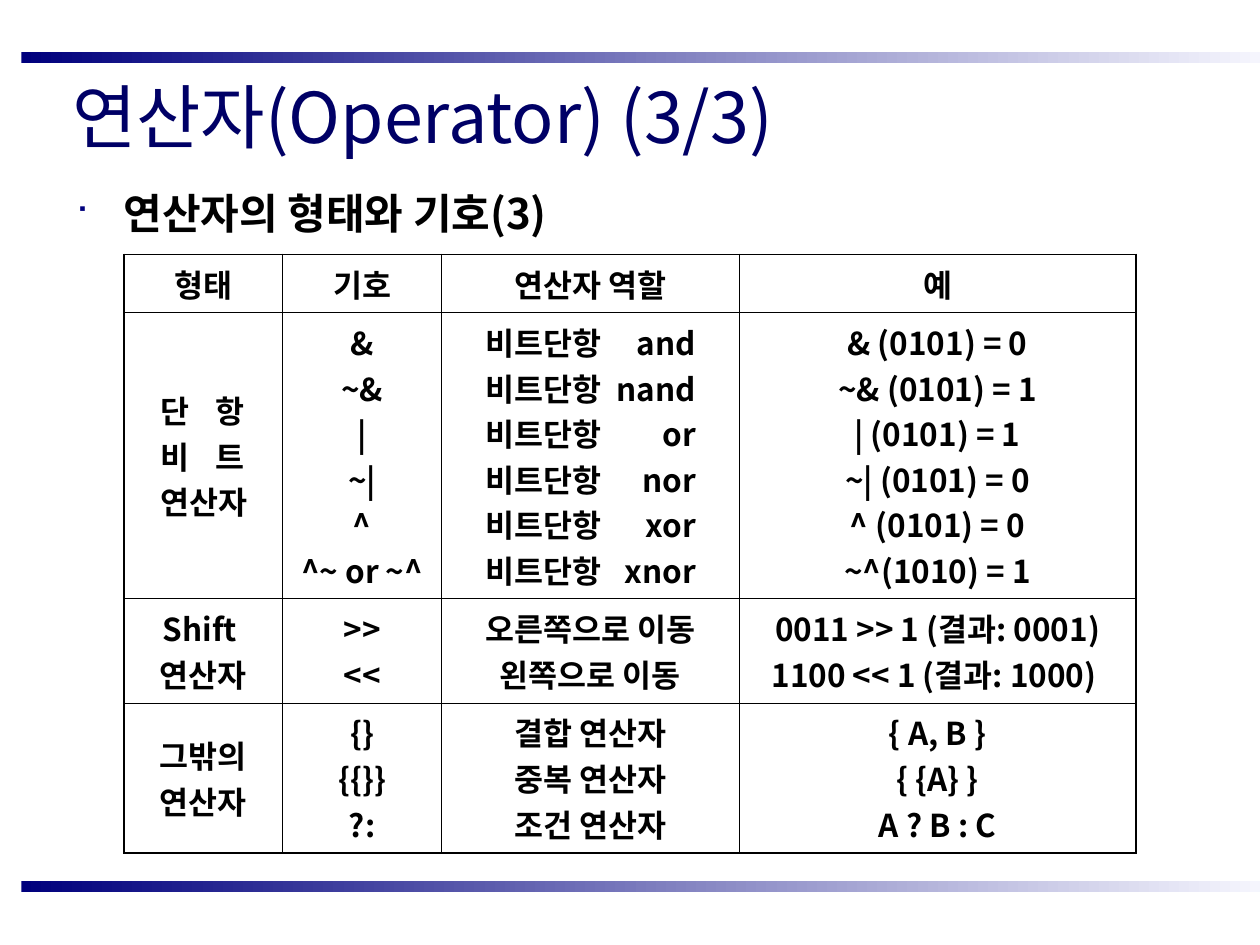
from lxml import etree
from pptx import Presentation
from pptx.dml.color import RGBColor
from pptx.enum.shapes import MSO_SHAPE
from pptx.enum.text import MSO_ANCHOR, PP_ALIGN
from pptx.oxml.ns import qn
from pptx.util import Cm, Pt

RECT = MSO_SHAPE.RECTANGLE
TOP, MIDDLE = MSO_ANCHOR.TOP, MSO_ANCHOR.MIDDLE
LEFT, CENTER = PP_ALIGN.LEFT, PP_ALIGN.CENTER

FACE = "Noto Sans CJK KR"
HUES = {"navy": "00007D", "pale": "F5F5FD", "title": "000066", "ink": "000000"}
FORMS = {
    "title": {"size": Pt(40), "bold": False},
    "head": {"size": Pt(24), "bold": True},
    "cell": {"size": Pt(18), "bold": True},
}
THIN, THICK = Pt(0.45), Pt(1.2)


def add(parent, tag, **attrs):
    return etree.SubElement(parent, qn(tag), {k: str(v) for k, v in attrs.items()})


def write(para, text, form, hue="ink"):
    run = para.add_run()
    run.text = text
    for key, value in {"name": FACE, **FORMS[form]}.items():
        setattr(run.font, key, value)
    run.font.color.rgb = RGBColor.from_string(HUES[hue])
    add(run.font._element, "a:ea", typeface=FACE)


prs = Presentation()
prs.slide_width, prs.slide_height = Cm(25.4), Cm(19.05)
slide = prs.slides.add_slide(prs.slide_layouts[6])
shapes = slide.shapes

# Gradient bars above and below
for top in (1.05, 17.76):
    bar = shapes.add_shape(RECT, Cm(0.43), Cm(top), Cm(24.97), Cm(0.22))
    bar.shadow.inherit = False
    bar.line.fill.background()
    bar.fill.gradient()
    bar.fill.gradient_angle = 0
    for stop, hue in zip(bar.fill.gradient_stops, ("navy", "pale")):
        stop.color.rgb = RGBColor.from_string(HUES[hue])

# Title and bulleted heading
texts = [
    ("연산자(Operator) (3/3)", "title", "title", MIDDLE, (1.21, 1.23, 23.34, 2.18)),
    ("연산자의 형태와 기호(3)", "head", "ink", TOP, (1.27, 3.66, 22.86, 1.4)),
]
for text, form, hue, anchor, box in texts:
    frame = shapes.add_textbox(*map(Cm, box)).text_frame
    frame.word_wrap = True
    frame.vertical_anchor = anchor
    para = frame.paragraphs[0]
    write(para, text, form, hue)

para.space_before = Pt(6)
props = para._p.get_or_add_pPr()
props.set("marL", str(Cm(0.97)))
props.set("indent", str(-Cm(0.97)))
add(add(props, "a:buClr"), "a:srgbClr", val=HUES["navy"])
add(props, "a:buSzPct", val=75000)
add(props, "a:buFont", typeface="Wingdings", charset=2)
add(props, "a:buChar", char="■")

# Operator table: each cell is a list of lines
rows = [
    [["형태"], ["기호"], ["연산자 역할"], ["예"]],
    [
        ["단\t항", "비\t트", "연산자"],
        ["&", "~&", "|", "~|", "^", "^~ or ~^"],
        [f"비트단항\t{gate}" for gate in ("and", "nand", "or", "nor", "xor", "xnor")],
        ["& (0101) = 0", "~& (0101) = 1", "| (0101) = 1",
         "~| (0101) = 0", "^ (0101) = 0", "~^(1010) = 1"],
    ],
    [
        ["Shift ", "연산자"],
        [">>", "<<"],
        ["오른쪽으로 이동", "왼쪽으로 이동"],
        ["0011 >> 1 (결과: 0001)", "1100 << 1 (결과: 1000) "],
    ],
    [
        ["그밖의 연산자"],
        ["{}", "{{}}", "?:"],
        ["결합 연산자", "중복 연산자", "조건 연산자"],
        ["{ A, B }", "{ {A} }", "A ? B : C"],
    ],
]
widths = [3.2, 3.2, 6, 8]
heights = [1.17, 5.77, 2.1, 3.02]
# Cells with two flush edges: left margin and right tab stop
stops = {(1, 0): (0.73, 1.7), (1, 2): (0.88, 4.25)}

table = shapes.add_table(
    len(rows), len(widths), Cm(2.5), Cm(5.13), Cm(sum(widths)), Cm(sum(heights))
).table
table.first_row = table.horz_banding = False
for col, width in zip(table.columns, widths):
    col.width = Cm(width)
for row, height in zip(table.rows, heights):
    row.height = Cm(height)

for r, row in enumerate(rows):
    for c, lines in enumerate(row):
        cell = table.cell(r, c)
        cell.vertical_anchor = MIDDLE
        flush = stops.get((r, c))
        if flush:
            cell.margin_left = Cm(flush[0])
        frame = cell.text_frame
        for n, line in enumerate(lines):
            para = frame.add_paragraph() if n else frame.paragraphs[0]
            para.alignment = LEFT if flush else CENTER
            write(para, line, "cell")
            if flush:
                tabs = add(para._p.get_or_add_pPr(), "a:tabLst")
                add(tabs, "a:tab", pos=Cm(flush[1]), algn="r")

        props = cell._tc.get_or_add_tcPr()
        outer = {
            "a:lnL": c == 0,
            "a:lnR": c == len(widths) - 1,
            "a:lnT": r == 0,
            "a:lnB": r == len(rows) - 1,
        }
        for tag, edge in outer.items():
            line = add(props, tag, w=THICK if edge else THIN)
            add(add(line, "a:solidFill"), "a:srgbClr", val=HUES["ink"])
        cell.fill.background()

prs.save("out.pptx")
